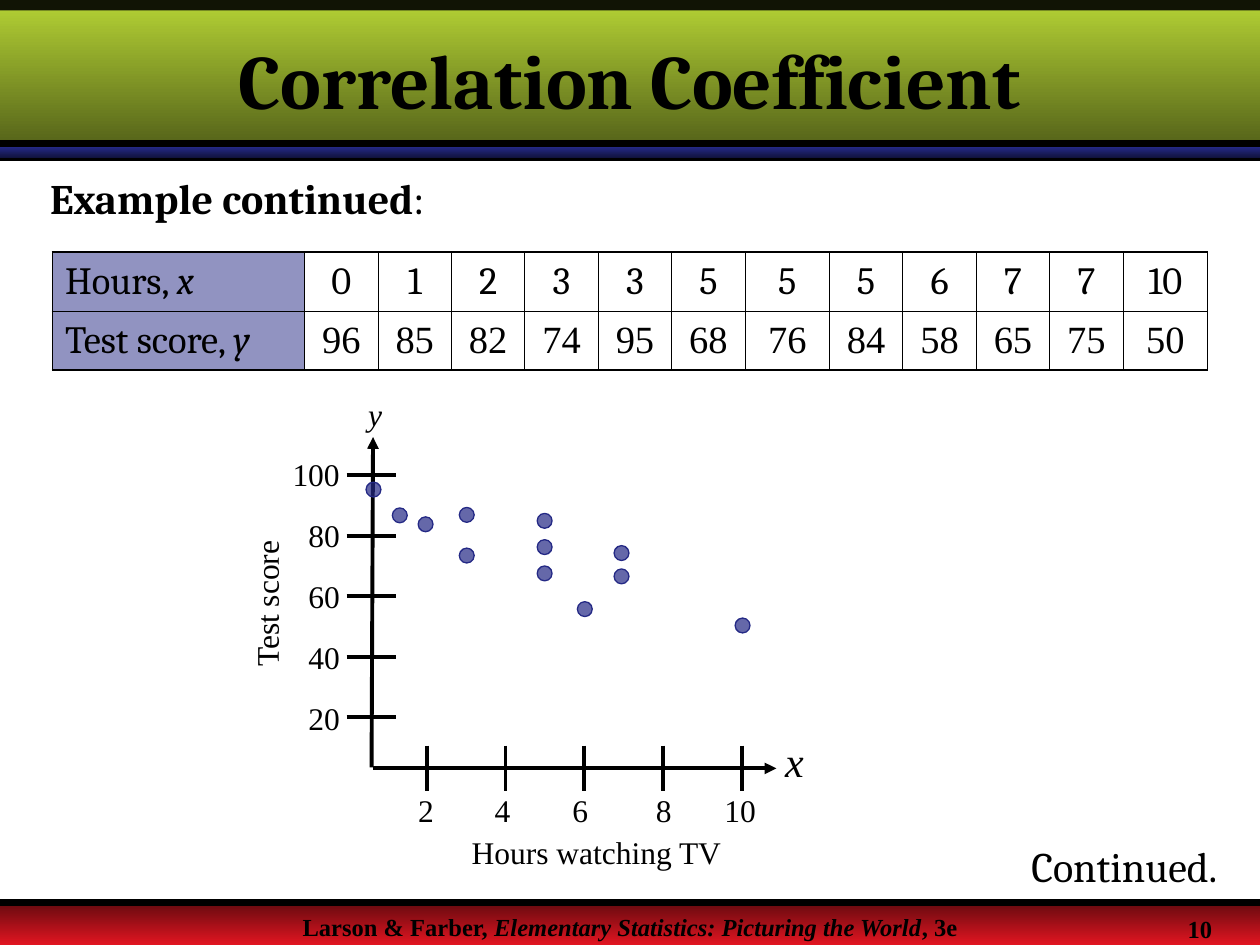
import dataclasses

import pptx
import pptx.dml.color
import pptx.enum.shapes
import pptx.enum.text
import pptx.oxml
import pptx.oxml.ns
import pptx.util
from pptx.util import Cm, Pt

ALIGN = pptx.enum.text.PP_ALIGN
MIDDLE = pptx.enum.text.MSO_ANCHOR.MIDDLE
SHAPE = pptx.enum.shapes.MSO_SHAPE
NAMESPACE = pptx.oxml.ns.nsdecls("a")


@dataclasses.dataclass(frozen=True)
class Theme:
    black: str = "000000"
    navy: str = "242985"
    header: tuple = ("B5D335", "546219")
    stripe: tuple = ("242985", "11133E")
    footer: tuple = ("680A0F", "E11521")
    serif: str = "Cambria"
    roman: str = "Times New Roman"
    title: float = 44
    lead: float = 24
    cell: float = 22
    axis: float = 18
    note: float = 14
    rule: float = 4
    axis_line: float = 2.25
    outer_border: float = 1.08
    inner_border: float = 0.45


THEME = Theme()
SLIDE_WIDTH, SLIDE_HEIGHT = 25.4, 19.05
HOURS = (0, 1, 2, 3, 3, 5, 5, 5, 6, 7, 7, 10)
SCORES = (96, 85, 82, 74, 95, 68, 76, 84, 58, 65, 75, 50)
HOUR_LABEL_CENTERS = (8.59, 10.13, 11.7, 13.38, 14.92)
POINT_CENTERS = (
    (7.53, 9.87), (8.06, 10.39), (8.58, 10.57), (9.41, 11.2),
    (9.41, 10.38), (10.98, 11.56), (10.98, 11.03), (10.98, 10.5),
    (11.79, 12.28), (12.53, 11.62), (12.53, 11.15), (14.97, 12.61),
)


def rgb(value):
    return pptx.dml.color.RGBColor.from_string(value)


def set_opacity(properties, percent):
    color = properties.find(".//" + pptx.oxml.ns.qn("a:srgbClr"))
    color.append(pptx.oxml.parse_xml(f'<a:alpha {NAMESPACE} val="{percent * 1000}"/>'))


def write(frame, runs, size, font, align=ALIGN.LEFT):
    paragraph = frame.paragraphs[0]
    paragraph.alignment = align
    for text, style in runs:
        run = paragraph.add_run()
        run.text = text
        run.font.name = font
        run.font.size = Pt(size)
        run.font.bold = "b" in style
        run.font.italic = "i" in style
        run.font.color.rgb = rgb(THEME.black)


def add_text(shapes, box, runs, size, font=THEME.roman, align=ALIGN.LEFT):
    shape = shapes.add_textbox(*map(Cm, box))
    shape.text_frame.word_wrap = True
    write(shape.text_frame, runs, size, font, align)
    return shape


def add_line(shapes, start, end, width, arrow=False):
    connector = shapes.add_connector(
        pptx.enum.shapes.MSO_CONNECTOR.STRAIGHT, *map(Cm, start + end))
    connector.line.color.rgb = rgb(THEME.black)
    connector.line.width = Pt(width)
    if arrow:
        connector.line._get_or_add_ln().append(
            pptx.oxml.parse_xml(f'<a:tailEnd {NAMESPACE} type="triangle"/>'))
    connector.element.spPr.append(pptx.oxml.parse_xml(f"<a:effectLst {NAMESPACE}/>"))


def add_band(shapes, top, height, colors):
    shape = shapes.add_shape(
        SHAPE.RECTANGLE, 0, Cm(top), Cm(SLIDE_WIDTH), Cm(height))
    shape.shadow.inherit = False
    shape.line.fill.background()
    if len(colors) == 1:
        shape.fill.solid()
        shape.fill.fore_color.rgb = rgb(colors[0])
        set_opacity(shape.element.spPr, 90)
        return
    shape.fill.gradient()
    shape.fill.gradient_angle = 270
    for stop, color, position in zip(shape.fill.gradient_stops, colors, (0, 1)):
        stop.color.rgb = rgb(color)
        stop.position = position


def add_point(shapes, center, diameter=0.3):
    left, top = (value - diameter / 2 for value in center)
    shape = shapes.add_shape(
        SHAPE.OVAL, Cm(left), Cm(top), Cm(diameter), Cm(diameter))
    shape.shadow.inherit = False
    shape.fill.solid()
    shape.fill.fore_color.rgb = rgb(THEME.navy)
    set_opacity(shape.element.spPr, 70)
    shape.line.color.rgb = rgb(THEME.navy)
    shape.line.width = Pt(0.75)


def set_borders(cell, outer_sides):
    properties = cell._tc.get_or_add_tcPr()
    for index, side in enumerate("LRTB"):
        width = THEME.outer_border if side in outer_sides else THEME.inner_border
        properties.insert(index, pptx.oxml.parse_xml(
            f'<a:ln{side} {NAMESPACE} w="{int(Pt(width))}"><a:solidFill>'
            f'<a:srgbClr val="{THEME.black}"/></a:solidFill></a:ln{side}>'))


def add_score_table(shapes):
    rows = (
        ([("Hours, ", ""), ("x", "i")], HOURS, THEME.serif, "T"),
        ([("Test score, ", ""), ("y", "i")], SCORES, THEME.roman, "B"),
    )
    last = len(HOURS)
    wide_columns = (7, last)
    widths = [5.08] + [1.7 if column in wide_columns else 1.48
                       for column in range(1, last + 1)]
    frame = shapes.add_table(
        len(rows), last + 1, Cm(1.06), Cm(5.08), Cm(sum(widths)), Cm(2.38))
    table = frame.table
    table.first_row = table.horz_banding = False
    for column, width in zip(table.columns, widths):
        column.width = Cm(width)
    for row, (label, values, font, edge) in enumerate(rows):
        for column in range(last + 1):
            cell = table.cell(row, column)
            cell.vertical_anchor = MIDDLE
            if column == 0:
                write(cell.text_frame, label, THEME.cell, THEME.serif)
                cell.fill.solid()
                cell.fill.fore_color.rgb = rgb(THEME.navy)
                set_opacity(cell._tc.get_or_add_tcPr(), 50)
            else:
                write(cell.text_frame, [(str(values[column - 1]), "")],
                      THEME.cell, font, ALIGN.CENTER)
                cell.fill.background()
            set_borders(cell, edge + {0: "L", last: "R"}.get(column, ""))


def add_axes(shapes):
    add_line(shapes, (7.52, 15.49), (15.65, 15.49), THEME.axis_line, arrow=True)
    add_line(shapes, (7.49, 15.47), (7.52, 8.81), THEME.axis_line, arrow=True)
    for index, score in enumerate(range(100, 0, -20)):
        tick = 9.58 + 1.22 * index
        add_line(shapes, (6.99, tick), (7.98, tick), THEME.axis_line)
        add_text(shapes, (5.58, 9.05 + 1.23 * index, 1.52, 1.02),
                 [(str(score), "")], THEME.axis, align=ALIGN.RIGHT)
    for index, center in enumerate(HOUR_LABEL_CENTERS):
        tick = 8.6 + 1.59 * index
        add_line(shapes, (tick, 15.03), (tick, 15.95), THEME.axis_line)
        add_text(shapes, (center - 0.74, 15.82, 1.48, 1.02),
                 [(str(2 * index + 2), "")], THEME.axis, align=ALIGN.CENTER)
    add_text(shapes, (15.58, 14.71, 1.5, 1.27), [("x", "i")], THEME.lead)
    add_text(shapes, (7.17, 7.83, 1.75, 1.02), [("y", "i")], THEME.axis)
    add_text(shapes, (8.43, 16.66, 7.19, 1.02),
             [("Hours watching TV", "")], THEME.axis, align=ALIGN.CENTER)
    label = add_text(shapes, (3.05, 11.66, 4.65, 1.02),
                     [("Test score", "")], THEME.axis, align=ALIGN.CENTER)
    label.rotation = 270


def add_background(shapes):
    def add_rule(top):
        add_line(shapes, (0, top), (SLIDE_WIDTH, top), THEME.rule)

    add_band(shapes, 18.21, 0.84, THEME.footer)
    add_rule(3.18)
    add_band(shapes, 2.97, 0.21, THEME.stripe)
    add_band(shapes, 0, 2.97, THEME.header)
    add_rule(18.2)
    add_band(shapes, 0, 0.21, (THEME.black,))
    add_rule(2.9)
    add_text(shapes, (0, 18.26, SLIDE_WIDTH, 0.75),
             [("Larson & Farber, ", "b"),
              ("Elementary Statistics: Picturing the World", "bi"),
              (", 3e", "b")], THEME.note, align=ALIGN.CENTER)
    add_text(shapes, (23.69, 18.3, 1.5, 0.75), [("10", "b")], THEME.note)


def place_title(slide):
    title = slide.shapes.title
    title.left, title.top, title.width, title.height = map(
        Cm, (0, 0.21, SLIDE_WIDTH, 2.75))
    title.text_frame.vertical_anchor = MIDDLE
    write(title.text_frame, [("Correlation Coefficient", "b")],
          THEME.title, THEME.serif, ALIGN.CENTER)
    slide.shapes.element.append(title.element)


def main():
    presentation = pptx.Presentation()
    presentation.slide_width = Cm(SLIDE_WIDTH)
    presentation.slide_height = Cm(SLIDE_HEIGHT)
    slide = presentation.slides.add_slide(presentation.slide_layouts[5])
    shapes = slide.shapes
    add_background(shapes)
    place_title(slide)
    add_score_table(shapes)
    add_text(shapes, (0.76, 3.35, 22.86, 1.27),
             [("Example continued", "b"), (":", "")], THEME.lead, THEME.serif)
    add_axes(shapes.add_group_shape().shapes)
    for center in POINT_CENTERS:
        add_point(shapes, center)
    add_text(shapes, (20.54, 16.81, 4.83, 1.27),
             [("Continued.", "")], THEME.lead, THEME.serif)
    presentation.save("out.pptx")


if __name__ == "__main__":
    main()
